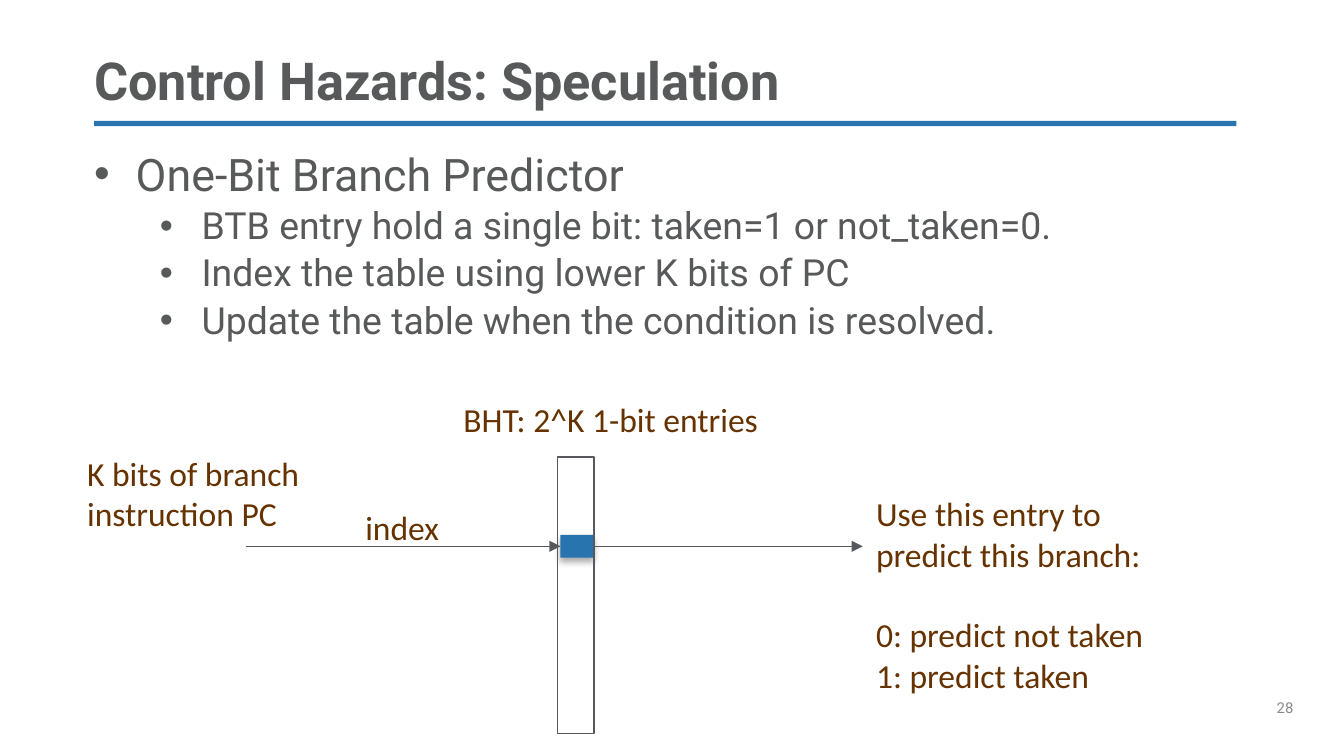
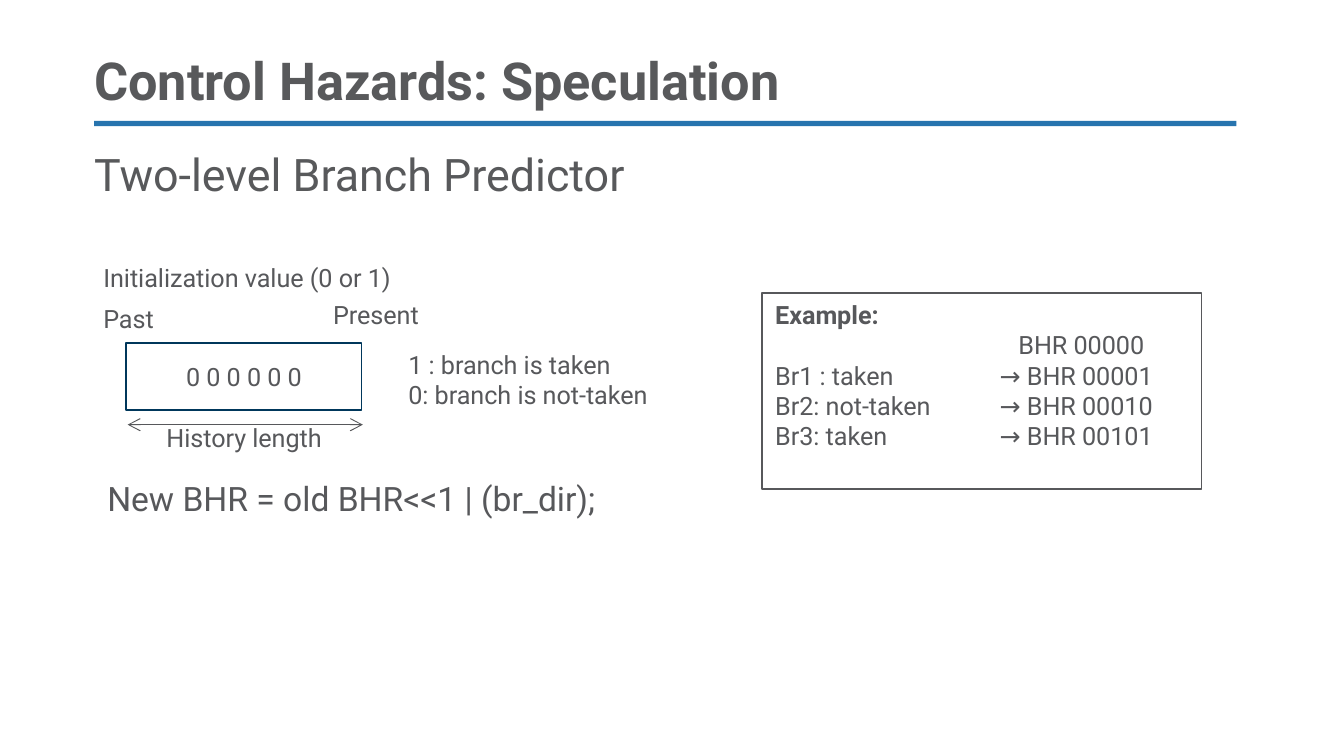
import pptx
import pptx.util
import pptx.dml.color
import pptx.enum.shapes
import pptx.enum.text
import pptx.oxml.ns
from lxml import etree

Inches, Pt = pptx.util.Inches, pptx.util.Pt
qn = pptx.oxml.ns.qn
RECT = pptx.enum.shapes.MSO_SHAPE.RECTANGLE
STRAIGHT = pptx.enum.shapes.MSO_CONNECTOR.STRAIGHT
ALIGN = pptx.enum.text.PP_ALIGN
ANCHOR = pptx.enum.text.MSO_ANCHOR

BLUE, NAVY, BROWN = "2774AE", "00375B", "663300"
GREY, INK, PALE = "58595B", "57585B", "898989"
ROBOTO, CALIBRI = "Roboto", "Calibri"


def rgb(code):
    return pptx.dml.color.RGBColor.from_string(code)


def add_xml(parent, tag, **attrs):
    child = etree.SubElement(parent, qn(tag))
    for key, value in attrs.items():
        child.set(key, str(value))
    return child


def write(tf, paragraphs, size=18, color=INK, font=ROBOTO, inset=None,
          anchor=ANCHOR.TOP, align=ALIGN.LEFT, wrap=True):
    """Fill a frame; each paragraph is text or a (text, format) pair."""
    tf.word_wrap, tf.vertical_anchor = wrap, anchor
    if inset is not None:
        tf.margin_left = tf.margin_right = Inches(inset)
        tf.margin_top = tf.margin_bottom = Inches(inset)
    for i, item in enumerate(paragraphs):
        text, fmt = (item, {}) if isinstance(item, str) else item
        p = tf.paragraphs[0] if i == 0 else tf.add_paragraph()
        p.alignment = align
        p.line_spacing = fmt.get("spacing", 1.0)
        p.space_before = Pt(fmt.get("before", 0))
        p.level = fmt.get("level", 0)
        pPr = p._p.get_or_add_pPr()
        if "bullet_at" in fmt:
            pPr.set("marL", str(Inches(fmt["bullet_at"])))
            pPr.set("indent", str(Inches(-0.31)))
            add_xml(pPr, "a:buFont", typeface="Arial")
            add_xml(pPr, "a:buChar", char="•")
        if "tab" in fmt:
            tabs = add_xml(pPr, "a:tabLst")
            add_xml(tabs, "a:tab", pos=Inches(fmt["tab"]), algn="l")
        for j, line in enumerate(text.split("\n")):
            if j:
                p.add_line_break()
            r = p.add_run()
            r.text = line
            r.font.name, r.font.size = font, Pt(fmt.get("size", size))
            r.font.bold = fmt.get("bold", False)
            r.font.color.rgb = rgb(color)


def add_text(s, x, y, w, h, *paragraphs, **fmt):
    box = s.shapes.add_textbox(Inches(x), Inches(y), Inches(w), Inches(h))
    write(box.text_frame, paragraphs, **fmt)


def add_rect(s, x, y, w, h, fill=None, line=None, width=1):
    sp = s.shapes.add_shape(RECT, Inches(x), Inches(y), Inches(w), Inches(h))
    sp.shadow.inherit = False
    if fill:
        sp.fill.solid()
        sp.fill.fore_color.rgb = rgb(fill)
    else:
        sp.fill.background()
    if line:
        sp.line.color.rgb, sp.line.width = rgb(line), Pt(width)
    else:
        sp.line.fill.background()
    return sp


def add_shadow(sp):
    effects = sp._element.spPr.find(qn("a:effectLst"))
    outer = add_xml(effects, "a:outerShdw", blurRad=Pt(3.5), dist=Pt(2.2),
                    dir=90 * 60000, rotWithShape=0)
    add_xml(add_xml(outer, "a:srgbClr", val="000000"), "a:alpha", val=32000)


def add_arrow(s, x1, y, x2, width=0.75, head=None, tail="triangle"):
    c = s.shapes.add_connector(STRAIGHT, Inches(x1), Inches(y), Inches(x2), Inches(y))
    c.line.color.rgb, c.line.width = rgb(INK), Pt(width)
    ln = c.line._get_or_add_ln()
    if head:
        add_xml(ln, "a:headEnd", type=head)
    add_xml(ln, "a:tailEnd", type=tail)
    add_xml(c._element.spPr, "a:effectLst")
    return c


def add_slide(prs, title, body, number=None):
    """Shared frame: title, blue rule, body text and page number."""
    s = prs.slides.add_slide(prs.slide_layouts[5])
    x = 0.7
    add_rect(s, x, 0.9, 8.5, 0.04, fill=BLUE)
    sp = s.shapes.title
    sp.left, sp.top, sp.width, sp.height = map(Inches, (x, 0.4, 8.5, 0.43))
    write(sp.text_frame, [(title, dict(bold=True, spacing=0.9))], size=28,
          color=GREY, inset=0, anchor=ANCHOR.BOTTOM)
    add_text(s, x, 1.09, 8.92, 1.9 if len(body) > 1 else 0.4, *body,
             size=24, color=GREY, inset=0)
    if number:
        add_text(s, 9.5, 5.2, 0.5, 0.4, number, size=8, color=PALE, inset=0)
    return s


def history_table(s, x, y):
    """Lookup in the branch history table: index, entry, prediction."""
    label = dict(color=BROWN, font=CALIBRI)
    add_text(s, x, y + 0.4, 2.33, 0.71, "K bits of branch\ninstruction PC", **label)
    add_text(s, x + 2.07, y + 0.8, 1.34, 0.4, "index", **label)
    add_text(s, x + 2.8, y, 2.43, 0.4, "BHT: 2^K 1-bit entries", **label)
    entry = add_rect(s, x + 3.62, y + 1.06, 0.25, 0.17, fill=BLUE)
    add_shadow(entry)
    mid = y + 1.06 + 0.17 / 2
    add_arrow(s, x + 1.28, mid, x + 3.62).end_connect(entry, 1)
    add_arrow(s, x + 3.87, mid, x + 5.87).begin_connect(entry, 3)
    add_text(s, x + 5.87, y + 0.7, 2.87, 1.62,
             "Use this entry to\npredict this branch:",
             ("0: predict not taken", dict(before=21.6)), "1: predict taken", **label)
    add_rect(s, x + 3.6, y + 0.48, 0.27, 2.06, line=INK, width=0.75)


def history_register(s, x, y):
    """Branch history register with its labels and update rule."""
    sp = add_rect(s, x + 0.27, y + 0.65, 1.75, 0.5, line=NAVY)
    write(sp.text_frame, ["0 0 0 0 0 0"], size=13.5, anchor=ANCHOR.MIDDLE,
          align=ALIGN.CENTER)
    add_arrow(s, x + 0.28, y + 1.26, x + 2.03, width=0.5, head="arrow", tail="arrow")
    labels = [
        (0, 0, 3.15, 0.4, "Initialization value (0 or 1)"),
        (0, 0.31, 0.58, 0.33, "Past"),
        (1.71, 0.28, 0.85, 0.33, "Present"),
        (0.47, 1.19, 1.81, 0.4, "History length"),
        (2.27, 0.65, 2.68, 0.71, "1 : branch is taken", "0: branch is not-taken"),
    ]
    for dx, dy, w, h, *lines in labels:
        add_text(s, x + dx, y + dy, w, h, *lines, size=13.5, wrap=False)
    add_text(s, x + 0.03, y + 1.61, 4.2, 0.4, "New BHR = old BHR<<1 | (br_dir);",
             wrap=False)


def example_box(s, x, y, w, h):
    """Worked example, with register values on a tab stop."""
    sp = add_rect(s, x, y, w, h, line=INK)
    steps = ["Br1 : taken\t→ BHR 00001", "Br2: not-taken\t→ BHR 00010",
             "Br3: taken\t→ BHR 00101"]
    write(sp.text_frame,
          [("Example:", dict(bold=True)), ("\tBHR 00000", dict(tab=1.81))]
          + [(step, dict(tab=1.67)) for step in steps], size=13.5)


def main():
    # Widescreen page, 16:9
    prs = pptx.Presentation()
    prs.slide_width = Inches(10)
    prs.slide_height = prs.slide_width * 9 // 16
    title = "Control Hazards: Speculation"

    # One-bit predictor
    sub = dict(size=20, level=1, bullet_at=0.8, spacing=0.9, before=3.8)
    points = ["BTB entry hold a single bit: taken=1 or not_taken=0.",
              "Index the table using lower K bits of PC",
              "Update the table when the condition is resolved."]
    body = [("One-Bit Branch Predictor", dict(bullet_at=0.31))]
    s = add_slide(prs, title, body + [(point, sub) for point in points], number="28")
    history_table(s, 0.55, 2.92)

    # Two-level predictor
    s = add_slide(prs, title, ["Two-level Branch Predictor"])
    example_box(s, 5.67, 2.18, 3.27, 1.46)
    history_register(s, 0.67, 1.9)

    prs.save("out.pptx")


if __name__ == "__main__":
    main()
